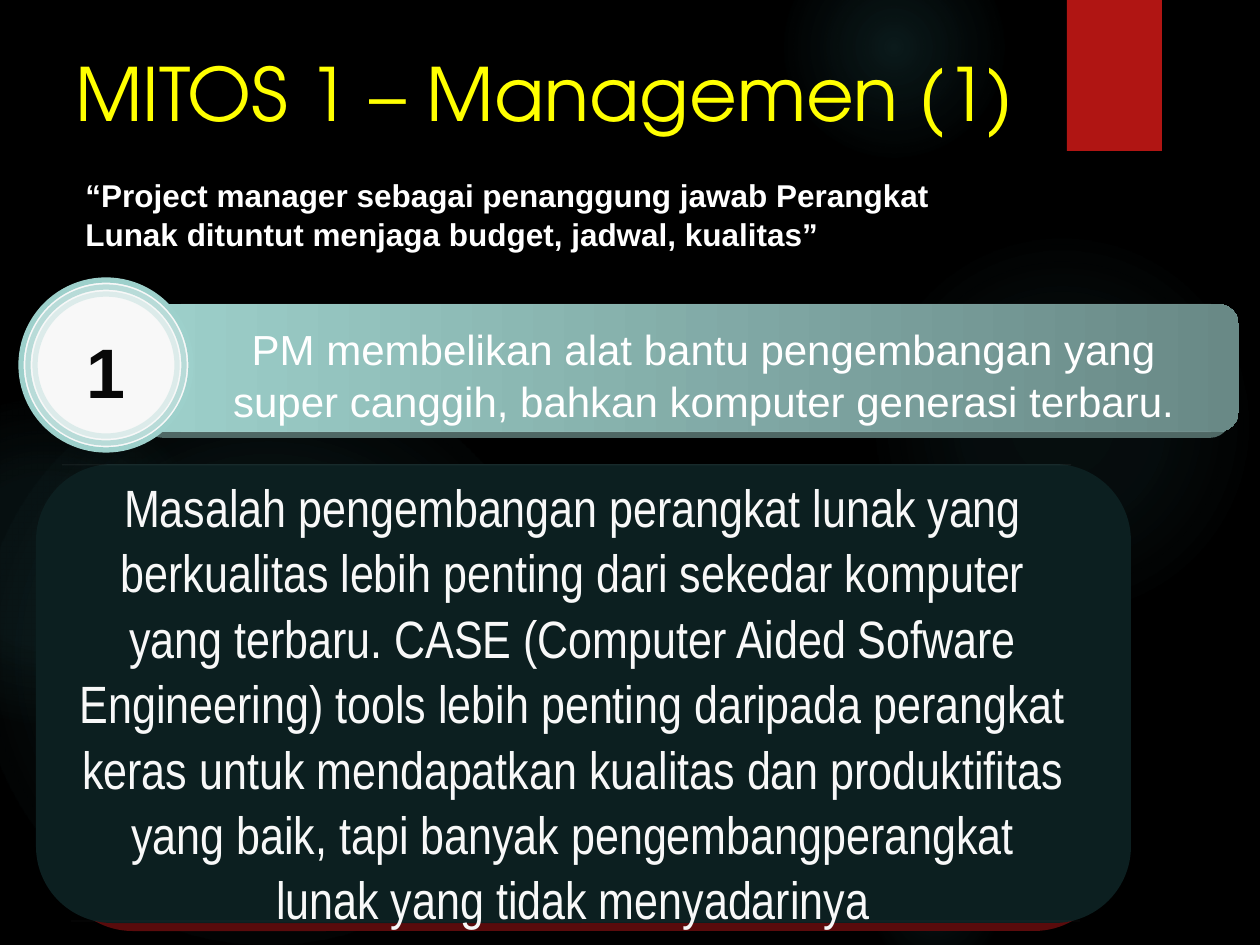
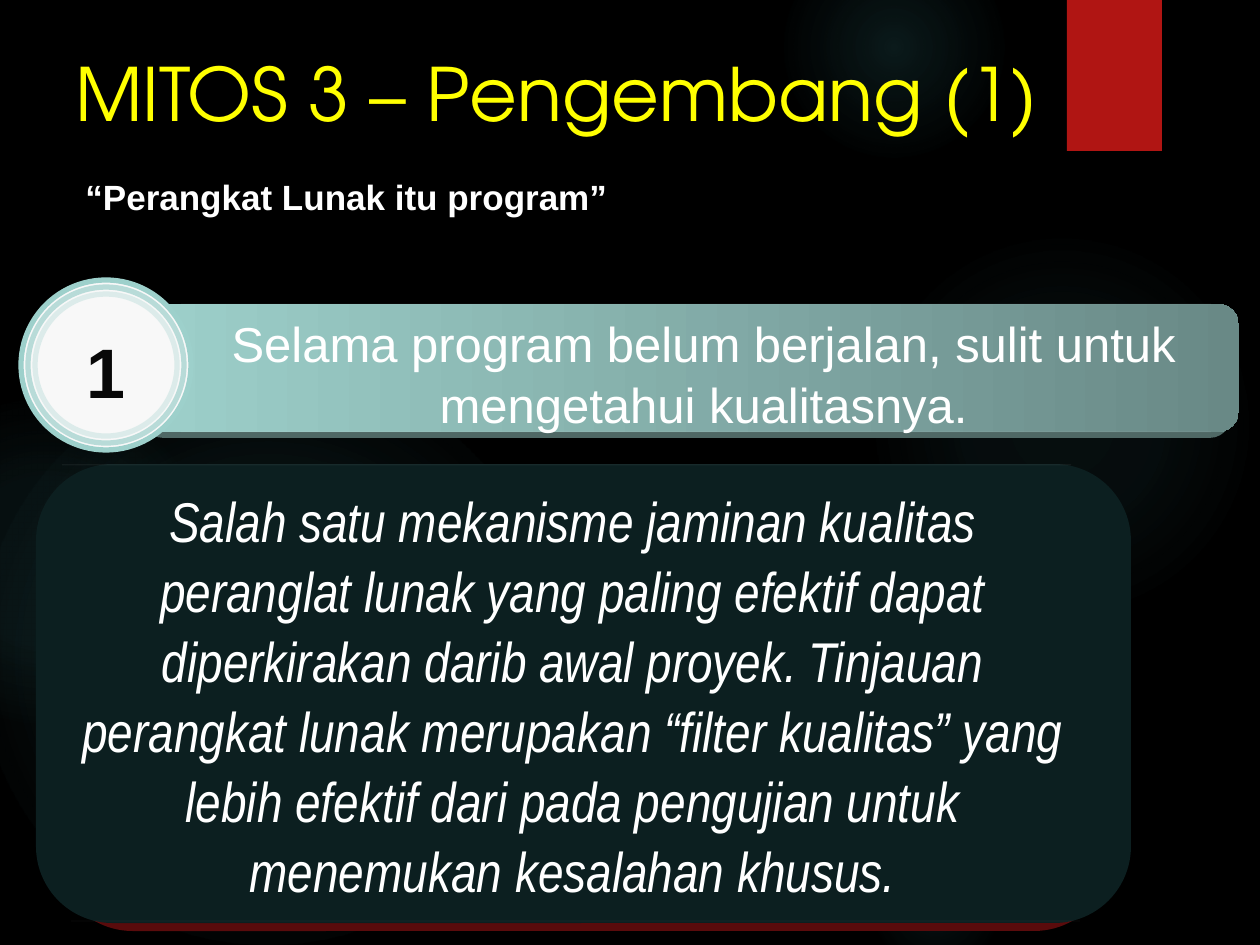
import lxml.etree
import pptx
import pptx.dml.color
import pptx.enum.shapes
import pptx.enum.text
import pptx.oxml
import pptx.oxml.ns
import pptx.util

EMU_PER_PX = 914400 / 126
CORNER = 0.167
SHAPES = pptx.enum.shapes.MSO_SHAPE
LEFT = pptx.enum.text.PP_ALIGN.LEFT
CENTER = pptx.enum.text.PP_ALIGN.CENTER

COLORS = {
    "black": "000000",
    "glow": "50B9C1",
    "tab": "B01513",
    "title": "FFFF00",
    "white": "FFFFFF",
    "soft_white": "F8F8F8",
    "number": "080808",
    "panel": "0C1F20",
    "panel_edge": "5A0B0C",
    "mint": "9DD0CB",
    "mint_dark": "698986",
    "band_edge": "4F6865",
}

GLOWS = [
    ((868, 231, 388, 388), [(0, 7), (36, 6), (69, 0)]),
    ((784, -63, 220, 220), [(0, 14), (36, 7), (73, 0)]),
    ((868, 840, 136, 136), [(0, 9), (36, 5), (66, 0)]),
    ((-21, 368, 577, 577), [(0, 11), (36, 10), (75, 0)]),
    ((-116, 399, 325, 325), [(0, 8), (36, 8), (72, 0)]),
]

MYTHS = [
    {
        "title": "MITOS 1 – Managemen (1)",
        "quote": "“Project manager sebagai penanggung jawab Perangkat Lunak dituntut menjaga budget, jadwal, kualitas”",
        "quote_size": 18,
        "claim": "PM membelikan alat bantu pengembangan yang\nsuper canggih, bahkan komputer generasi terbaru.",
        "claim_size": 24,
        "claim_top": 11,
        "answer": "Masalah pengembangan perangkat lunak yang berkualitas lebih penting dari sekedar komputer yang terbaru. CASE (Computer Aided Sofware Engineering) tools lebih penting daripada perangkat keras untuk mendapatkan kualitas dan produktifitas yang baik, tapi banyak pengembangperangkat lunak yang tidak menyadarinya",
        "answer_top": 2,
        "answer_format": {"size": 30, "color": "soft_white"},
    },
    {
        "title": "MITOS 3 – Pengembang (1)",
        "quote": "“Perangkat Lunak itu program”",
        "quote_size": 20,
        "claim": "Selama program belum berjalan, sulit untuk\nmengetahui kualitasnya.",
        "claim_size": 28,
        "claim_top": 1,
        "answer": "Salah satu mekanisme jaminan kualitas peranglat lunak yang paling efektif dapat diperkirakan darib awal proyek. Tinjauan perangkat lunak merupakan “filter kualitas” yang lebih efektif dari pada pengujian untuk menemukan kesalahan khusus.",
        "answer_top": 14,
        "answer_format": {"size": 32, "color": "white", "italic": True},
    },
]


def px(length):
    return pptx.util.Emu(round(length * EMU_PER_PX))


def rgb(name):
    return pptx.dml.color.RGBColor.from_string(COLORS[name])


def add_text(page, box, text, size, color, font="Arial", align=LEFT,
             bold=False, italic=False, spacing=1.045):
    frame = page.shapes.add_textbox(*map(px, box)).text_frame
    frame.word_wrap = True
    para = frame.paragraphs[0]
    para.text = text
    para.alignment = align
    para.line_spacing = spacing
    for span in para.runs:
        span.font.name = font
        span.font.size = pptx.util.Pt(size)
        span.font.bold = bold
        span.font.italic = italic
        span.font.color.rgb = rgb(color)


def add_shape(page, kind, box, fill=None):
    shape = page.shapes.add_shape(kind, *map(px, box))
    shape.shadow.inherit = False
    shape.line.fill.background()
    if fill:
        shape.fill.solid()
        shape.fill.fore_color.rgb = rgb(fill)
    else:
        shape.fill.background()
    if kind == SHAPES.ROUNDED_RECTANGLE:
        shape.adjustments[0] = CORNER
    return shape


def set_line(line, color, width, opacity):
    line.color.rgb = rgb(color)
    line.width = pptx.util.Pt(width)
    if opacity < 100:
        tint = line.fill._xPr.find(".//" + pptx.oxml.ns.qn("a:srgbClr"))
        alpha = lxml.etree.SubElement(tint, pptx.oxml.ns.qn("a:alpha"))
        alpha.set("val", str(opacity * 1000))


def add_rule(page, left, right, top, opacity):
    rule = page.shapes.add_connector(
        pptx.enum.shapes.MSO_CONNECTOR.STRAIGHT, px(left), px(top), px(right), px(top))
    set_line(rule.line, "white", 0.25, opacity)
    lxml.etree.SubElement(rule._element.spPr, pptx.oxml.ns.qn("a:effectLst"))


def add_glow(page, box, stops):
    glow = add_shape(page, SHAPES.OVAL, box, "glow")
    stop_xml = "".join(
        f'<a:gs pos="{position * 1000}"><a:srgbClr val="{COLORS["glow"]}">'
        f'<a:alpha val="{opacity * 1000}"/></a:srgbClr></a:gs>'
        for position, opacity in stops)
    gradient = pptx.oxml.parse_xml(
        f'<a:gradFill {pptx.oxml.ns.nsdecls("a")}><a:gsLst>{stop_xml}</a:gsLst>'
        '<a:path path="circle"><a:fillToRect l="50000" t="50000" r="50000" b="50000"/>'
        '</a:path></a:gradFill>')
    properties = glow._element.spPr
    properties.replace(properties.find(pptx.oxml.ns.qn("a:solidFill")), gradient)


def add_backdrop(page):
    page.background.fill.solid()
    page.background.fill.fore_color.rgb = rgb("black")
    for box, stops in GLOWS:
        add_glow(page, box, stops)
    add_shape(page, SHAPES.RECTANGLE, (1067, 0, 95, 151), "tab")


def add_heading(page, box, myth):
    left, top, width, height = box
    add_text(page, box, myth["title"], 42, "title", font="TeX Gyre Adventor", spacing=1.0)
    add_text(page, (left + 10, top + 126, 872, 90), myth["quote"],
             myth["quote_size"], "white", bold=True)


def add_answer_panel(page, box, myth):
    left, top, width, height = box
    add_shape(page, SHAPES.ROUNDED_RECTANGLE, (left + 20, top + 8, width - 40, height), "panel_edge")
    add_shape(page, SHAPES.ROUNDED_RECTANGLE, box, "panel")
    add_rule(page, left + 35, left + 1044, top + height - 2, 15)
    add_rule(page, left + 26, left + 1035, top + 1, 15)
    add_text(page, (left + 26, top + myth["answer_top"], 1022, height - 20), myth["answer"],
             font="Arial Narrow", align=CENTER, **myth["answer_format"])


def add_claim_band(page, box, myth):
    left, top, width, height = box
    add_shape(page, SHAPES.ROUNDED_RECTANGLE, (left + 8, top + 6, width - 16, height), "band_edge")
    band = add_shape(page, SHAPES.ROUNDED_RECTANGLE, box)
    band.fill.gradient()
    band.fill.gradient_angle = 0
    for stop, color in zip(band.fill.gradient_stops, ("mint", "mint_dark")):
        stop.color.rgb = rgb(color)
    for rule_top, opacity in ((top + height, 15), (top, 25)):
        add_rule(page, left + 47, left + 1077, rule_top, opacity)
    add_text(page, (left + 42, top + myth["claim_top"], 1055, height), myth["claim"],
             myth["claim_size"], "white", align=CENTER)


def add_number_badge(page, box, number):
    left, top, size, _ = box
    for ring, opacity in enumerate((100, 70, 30)):
        inset = ring * 7
        ring_box = (left + inset, top + inset, size - 2 * inset, size - 2 * inset)
        circle = add_shape(page, SHAPES.OVAL, ring_box, None if ring else "soft_white")
        set_line(circle.line, "mint", 3, opacity)
    add_text(page, (left + 10, top + 39, size - 20, 97), number, 40, "number",
             align=CENTER, bold=True)


def add_myth_slide(deck, myth):
    page = deck.slides.add_slide(deck.slide_layouts[6])
    add_backdrop(page)
    add_heading(page, (63, 42, 1039, 136), myth)
    add_answer_panel(page, (36, 464, 1095, 459), myth)
    add_claim_band(page, (134, 304, 1105, 128), myth)
    add_number_badge(page, (21, 280, 170, 170), "1")


def main():
    deck = pptx.Presentation()
    deck.slide_width = px(1260)
    deck.slide_height = px(945)
    for myth in MYTHS:
        add_myth_slide(deck, myth)
    deck.save("out.pptx")


if __name__ == "__main__":
    main()
